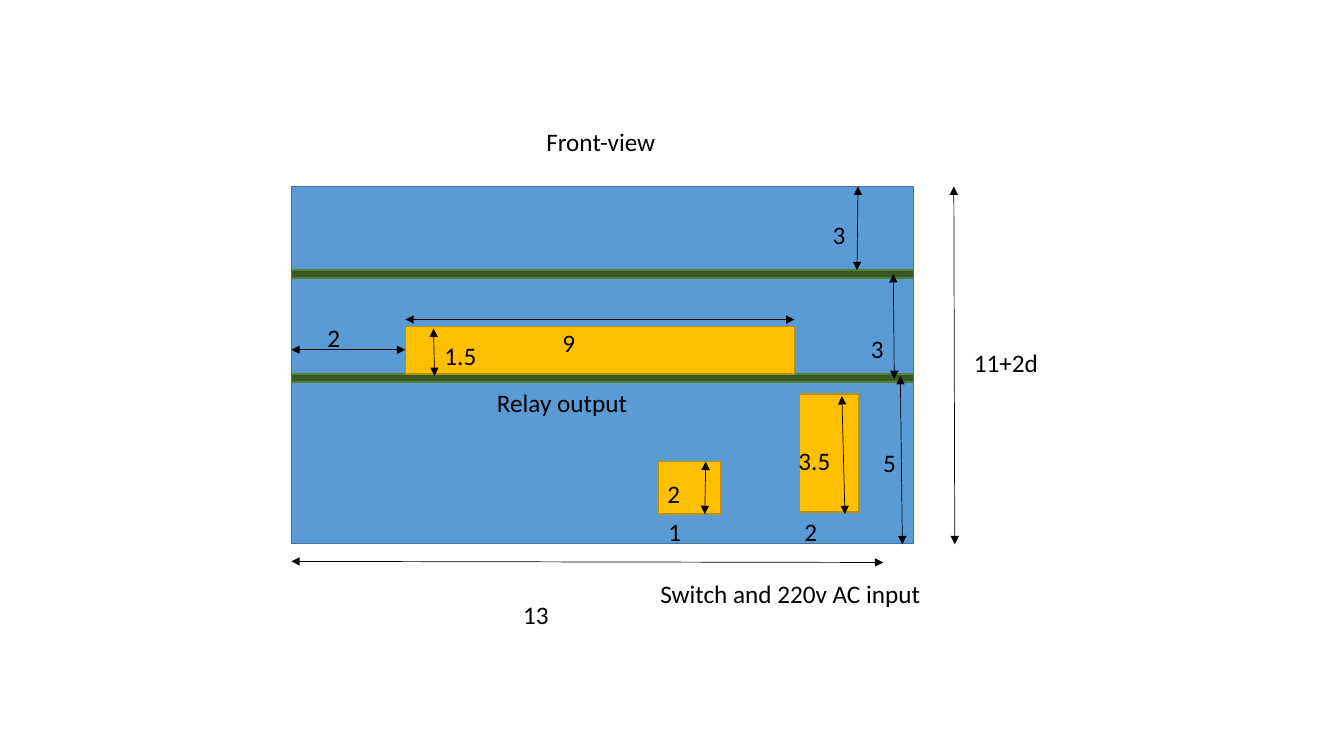
from dataclasses import dataclass

import pptx
import pptx.dml.color
import pptx.enum.shapes
import pptx.enum.text
import pptx.oxml.ns
import pptx.oxml.xmlchemy
import pptx.util

Inches = pptx.util.Inches
Pt = pptx.util.Pt


@dataclass(frozen=True)
class Theme:
    font: str = "Calibri"
    text_size: float = 18
    edge_width: float = 1
    arrow_width: float = 0.5
    ink: str = "000000"
    panel: tuple = ("5B9BD5", "43739E")
    opening: tuple = ("FFC000", "BD8E00")
    shelf: tuple = ("385723", "538035")


@dataclass(frozen=True)
class Box:
    left: float
    top: float
    width: float
    height: float

    def inner(self, left, top, width, height):
        return Box(self.left + left, self.top + top, width, height)

    def point(self, across, down):
        return Inches(self.left + across), Inches(self.top + down)

    def lengths(self):
        return [Inches(value) for value in (self.left, self.top, self.width, self.height)]


THEME = Theme()
DIGIT_WIDTH = 0.33
DECIMAL_WIDTH = 0.52
LABEL_HEIGHT = 0.4
SHELF_HEIGHT = 0.08
SHELF_TOPS = (0.83, 1.86)


def color(code):
    return pptx.dml.color.RGBColor.from_string(code)


def add_block(page, box, colors):
    block = page.shapes.add_shape(pptx.enum.shapes.MSO_SHAPE.RECTANGLE, *box.lengths())
    block.shadow.inherit = False
    block.fill.solid()
    block.fill.fore_color.rgb = color(colors[0])
    block.line.color.rgb = color(colors[1])
    block.line.width = Pt(THEME.edge_width)


def add_label(page, box, text, left, top, width=DIGIT_WIDTH):
    label = page.shapes.add_textbox(*box.inner(left, top, width, LABEL_HEIGHT).lengths())
    frame = label.text_frame
    frame.word_wrap = False
    frame.auto_size = pptx.enum.text.MSO_AUTO_SIZE.SHAPE_TO_FIT_TEXT
    para = frame.paragraphs[0]
    para.text = text
    para.font.name = THEME.font
    para.font.size = Pt(THEME.text_size)
    para.font.color.rgb = color(THEME.ink)


def add_arrow(page, box, start, end):
    arrow = page.shapes.add_connector(
        pptx.enum.shapes.MSO_CONNECTOR.STRAIGHT, *box.point(*start), *box.point(*end))
    arrow.line.color.rgb = color(THEME.ink)
    arrow.line.width = Pt(THEME.arrow_width)
    outline = arrow.line._get_or_add_ln()
    for name in ("a:headEnd", "a:tailEnd"):
        tip = pptx.oxml.xmlchemy.OxmlElement(name)
        tip.set("type", "triangle")
        outline.append(tip)
    properties = arrow._element.find(pptx.oxml.ns.qn("p:spPr"))
    properties.append(pptx.oxml.xmlchemy.OxmlElement("a:effectLst"))


def add_dimension(page, box, start, end, text, left, top, width=DIGIT_WIDTH):
    add_arrow(page, box, start, end)
    add_label(page, box, text, left, top, width)


def draw_enclosure(page, box):
    add_block(page, box, THEME.panel)
    add_label(page, box, "Front-view", 2.43, -0.65, 1.3)
    add_dimension(page, box, (0, 3.72), (5.87, 3.73), "13", 2.2, 4.05, 0.46)
    add_dimension(page, box, (6.57, 0), (6.58, 3.55), "11+2d", 6.67, 1.55, 0.85)
    add_label(page, box, "Switch and 220v AC input", 3.56, 3.84, 2.81)


def draw_socket(page, box):
    add_block(page, box, THEME.opening)
    add_dimension(page, box, (0.45, 1.19), (0.42, 0.02), "3.5", -0.11, 0.46, DECIMAL_WIDTH)
    add_label(page, box, "2", -0.05, 1.16)


def draw_switch(page, box):
    add_block(page, box, THEME.opening)
    add_dimension(page, box, (0.46, 0.52), (0.47, 0), "2", -0.01, 0.12)
    add_label(page, box, "1", 0, 0.49)


def draw_shelves(page, box):
    for top in SHELF_TOPS:
        add_block(page, box.inner(0, top, box.width, SHELF_HEIGHT), THEME.shelf)
    add_dimension(page, box, (5.62, 0), (5.61, 0.83), "3", 5.27, 0.28)
    add_dimension(page, box, (5.97, 0.87), (5.98, 1.91), "3", 5.65, 1.41)
    add_dimension(page, box, (6.04, 1.88), (6.06, 3.55), "5", 5.77, 2.54)


def draw_relay(page, box):
    add_block(page, box, THEME.opening)
    add_dimension(page, box, (0.28, 0.02), (0.29, 0.49), "1.5", 0.29, 0.09, DECIMAL_WIDTH)
    add_dimension(page, box, (0, -0.07), (box.width, -0.07), "9", 1.46, -0.04)
    add_dimension(page, box, (-1.13, 0.23), (0, 0.23), "2", -0.87, -0.09)
    add_label(page, box, "Relay output", 0.81, 0.55, 1.51)


def draw_front_view(page, box):
    draw_enclosure(page, box)
    draw_socket(page, box.inner(5.04, 2.06, 0.59, 1.17))
    draw_switch(page, box.inner(3.64, 2.73, 0.62, 0.52))
    draw_shelves(page, box)
    draw_relay(page, box.inner(1.13, 1.39, 3.86, 0.47))


deck = pptx.Presentation()
deck.slide_width = Inches(13.33)
deck.slide_height = Inches(7.5)
front_page = deck.slides.add_slide(deck.slide_layouts[6])
draw_front_view(front_page, Box(2.89, 1.85, 6.17, 3.54))
deck.save("out.pptx")
